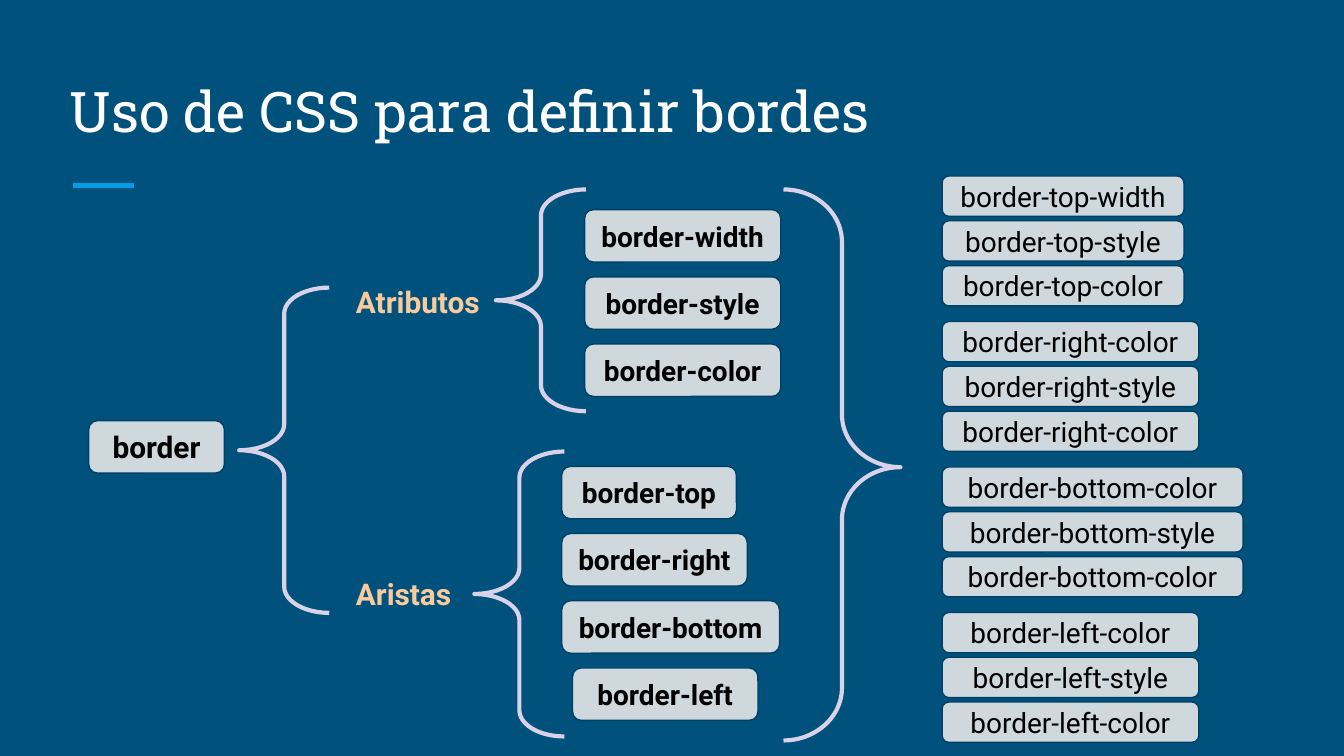
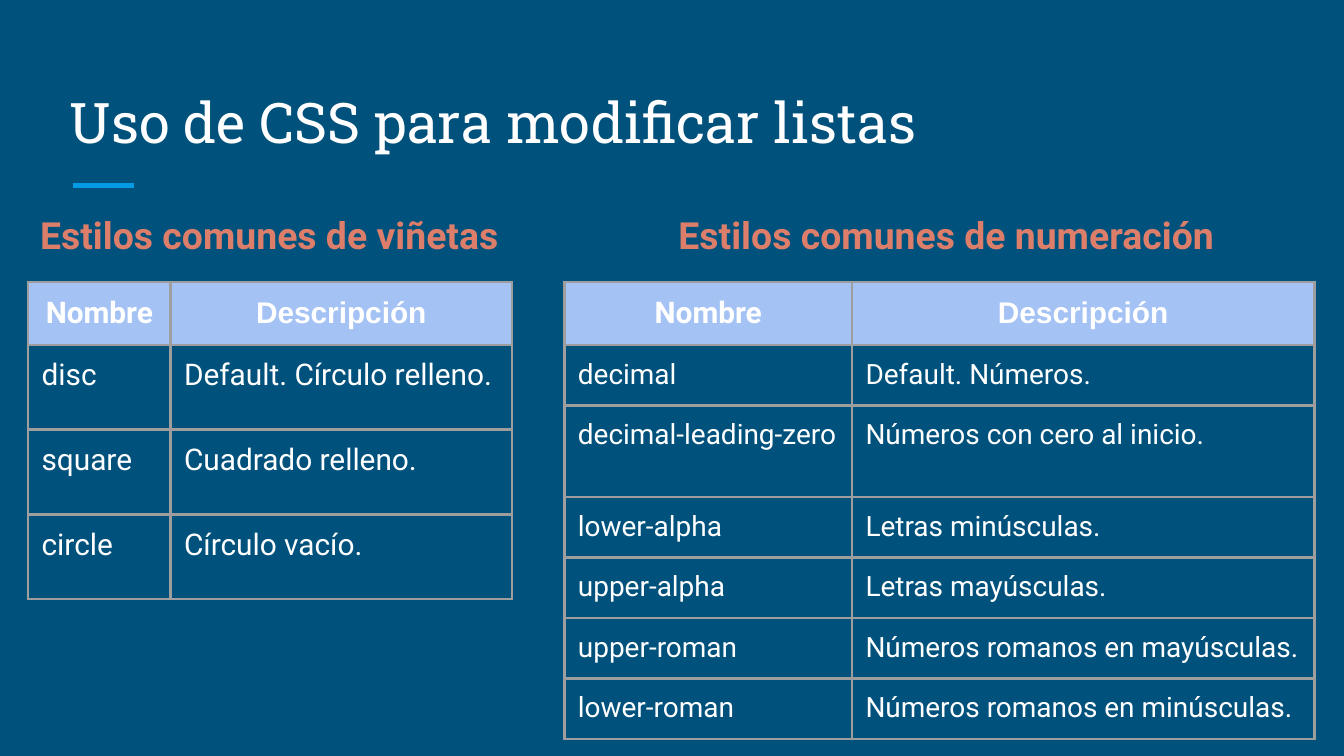
from dataclasses import dataclass

from lxml import etree
from pptx import Presentation
from pptx import util as u
from pptx.dml.color import RGBColor
from pptx.enum import shapes, text
from pptx.oxml import ns


@dataclass(frozen=True)
class Theme:
    background: str = "00517C"
    accent: str = "039BE5"
    light: str = "FFFFFF"
    dark: str = "000000"
    chip: str = "CFD8DC"
    chip_line: str = "004065"
    brace: str = "D9D2E9"
    branch: str = "F9CB9C"
    heading: str = "DD7E6B"
    header: str = "A4C2F4"
    grid: str = "9E9E9E"
    title_font: str = "Roboto Slab"
    body_font: str = "Roboto"
    header_font: str = "Arial"
    title_size: int = 30
    heading_size: int = 20
    large_size: int = 16
    body_size: int = 15


@dataclass(frozen=True)
class Box:
    left: float
    top: float
    width: float
    height: float

    def inches(self):
        return [u.Inches(side) for side in (self.left, self.top, self.width, self.height)]

    def inner(self, left, top, width, height):
        return Box(self.left + left, self.top + top, width, height)


THEME = Theme()
PAGE = Box(0, 0, 10, 10 * 9 / 16)
CENTER = text.PP_ALIGN.CENTER
MIDDLE = text.MSO_ANCHOR.MIDDLE


def rgb(color):
    return RGBColor.from_string(color)


def write(frame, words, size, color, font=THEME.body_font, bold=False,
          align=text.PP_ALIGN.LEFT):
    para = frame.paragraphs[0]
    para.alignment = align
    span = para.add_run()
    span.text = words
    span.font.name = font
    span.font.size = u.Pt(size)
    span.font.bold = bold
    span.font.color.rgb = rgb(color)


def set_insets(holder):
    holder.margin_left = holder.margin_right = u.Inches(0.1)
    holder.margin_top = holder.margin_bottom = u.Inches(0.1)


def add_label(page, box, words, size, color, font=THEME.body_font, bold=True,
              anchor=text.MSO_ANCHOR.TOP):
    frame = page.shapes.add_textbox(*box.inches()).text_frame
    frame.word_wrap = True
    frame.vertical_anchor = anchor
    set_insets(frame)
    write(frame, words, size, color, font, bold)


def add_chip(page, box, words, size=THEME.body_size, bold=True):
    chip = page.shapes.add_shape(shapes.MSO_SHAPE.ROUNDED_RECTANGLE, *box.inches())
    chip.shadow.inherit = False
    chip.fill.solid()
    chip.fill.fore_color.rgb = rgb(THEME.chip)
    chip.line.color.rgb = rgb(THEME.chip_line)
    chip.line.width = u.Pt(0.75)
    frame = chip.text_frame
    frame.word_wrap = False
    frame.vertical_anchor = MIDDLE
    set_insets(frame)
    write(frame, words, size, THEME.dark, bold=bold, align=CENTER)


def add_brace(page, box, kind=shapes.MSO_SHAPE.LEFT_BRACE, curve=0.29, tip=0.5):
    brace = page.shapes.add_shape(kind, *box.inches())
    brace.shadow.inherit = False
    brace.adjustments[0] = curve
    brace.adjustments[1] = tip
    brace.fill.background()
    brace.line.color.rgb = rgb(THEME.brace)
    brace.line.width = u.Pt(2.25)


def add_page(deck, title, title_top):
    page = deck.slides.add_slide(deck.slide_layouts[6])
    page.background.fill.solid()
    page.background.fill.fore_color.rgb = rgb(THEME.background)
    ends = [u.Inches(side) for side in (0.54, 1.38, 1, 1.38)]
    rule = page.shapes.add_connector(shapes.MSO_CONNECTOR.STRAIGHT, *ends)
    rule.line.color.rgb = rgb(THEME.accent)
    rule.line.width = u.Pt(3)
    etree.SubElement(rule._element.spPr, ns.qn("a:effectLst"))
    add_label(page, PAGE.inner(0.42, title_top, 9.15, 0.75), title, THEME.title_size,
              THEME.light, THEME.title_font, False, text.MSO_ANCHOR.BOTTOM)
    return page


def add_root(page, box):
    add_chip(page, box.inner(0, 0.99, 1.01, 0.39), "border", THEME.large_size)
    add_brace(page, box.inner(1.12, 0, 0.67, box.height))


def add_branch(page, box, label, label_box, chips, first_top):
    add_label(page, label_box, label, THEME.large_size, THEME.branch)
    add_brace(page, box.inner(0, 0, 0.67, box.height))
    for row, (words, left, width) in enumerate(chips):
        add_chip(page, box.inner(left, first_top + row * 0.5, width, 0.39), words)


def add_properties(page, box, groups):
    group_step = box.height / len(groups)
    for group, (side, width, endings) in enumerate(groups):
        for row, ending in enumerate(endings):
            place = box.inner(0, group * group_step + row / 3, width, 0.3)
            add_chip(page, place, f"border-{side}-{ending}", bold=False)


def draw_cell_borders(cell):
    properties = cell._tc.get_or_add_tcPr()
    for side in ("lnL", "lnR", "lnT", "lnB"):
        edge = etree.SubElement(properties, ns.qn(f"a:{side}"), w=str(u.Pt(1.5)))
        fill = etree.SubElement(edge, ns.qn("a:solidFill"))
        etree.SubElement(fill, ns.qn("a:srgbClr"), val=THEME.grid)


def add_style_table(page, box, heading, heading_box, columns, heights, rows, size):
    add_label(page, heading_box, heading, THEME.heading_size, THEME.heading)
    records = [("Nombre", "Descripción"), *rows]
    table = page.shapes.add_table(len(records), len(columns), *box.inches()).table
    table.first_row = table.horz_banding = False
    for column, width in zip(table.columns, columns):
        column.width = u.Inches(width)
    for row, (height, record) in enumerate(zip(heights, records)):
        table.rows[row].height = u.Inches(height)
        for column, words in enumerate(record):
            cell = table.cell(row, column)
            set_insets(cell)
            draw_cell_borders(cell)
            if row == 0:
                cell.vertical_anchor = MIDDLE
                cell.fill.solid()
                cell.fill.fore_color.rgb = rgb(THEME.header)
                font = (THEME.body_font, THEME.header_font)[column]
                write(cell.text_frame, words, THEME.large_size, THEME.light, font,
                      True, CENTER)
            else:
                cell.fill.background()
                write(cell.text_frame, words, size, THEME.light)


def build_borders(deck):
    page = add_page(deck, "Uso de CSS para definir bordes", 0.42)
    add_root(page, Box(0.66, 2.14, 1.79, 2.42))
    attributes = [(f"border-{name}", 0.66, 1.46) for name in ("width", "style", "color")]
    add_branch(page, Box(3.69, 1.41, 2.12, 1.65), "Atributos",
               Box(2.55, 2.01, 1.15, 0.39), attributes, 0.15)
    edges = [("border-top", 0.65, 1.3), ("border-right", 0.65, 1.38),
             ("border-bottom", 0.65, 1.62), ("border-left", 0.73, 1.38)]
    add_branch(page, Box(3.53, 3.36, 2.27, 2.12), "Aristas",
               Box(2.55, 4.18, 0.94, 0.39), edges, 0.11)
    add_brace(page, Box(5.83, 1.41, 0.87, 4.1), shapes.MSO_SHAPE.RIGHT_BRACE, 0.45, 0.504)
    endings = ("color", "style", "color")
    add_properties(page, Box(7.01, 1.31, 2.24, 4.33), [
        ("top", 1.8, ("width", "style", "color")),
        ("right", 1.91, endings),
        ("bottom", 2.24, endings),
        ("left", 1.91, endings),
    ])


def build_lists(deck):
    page = add_page(deck, "Uso de CSS para modificar listas", 0.5)
    add_style_table(
        page, Box(0.21, 2.1, 3.6, 2.32), "Estilos comunes de viñetas",
        Box(0.2, 1.48, 3.68, 0.47), (1.06, 2.54), [0.43] + [0.63] * 3,
        [("disc", "Default. Círculo relleno."),
         ("square", "Cuadrado relleno."),
         ("circle", "Círculo vacío.")],
        THEME.large_size)
    add_style_table(
        page, Box(4.2, 2.1, 5.58, 3.14), "Estilos comunes de numeración",
        Box(4.95, 1.48, 4.3, 0.47), (2.14, 3.44),
        [0.36, 0.44, 0.68, 0.44, 0.44, 0.44, 0.34],
        [("decimal", "Default. Números."),
         ("decimal-leading-zero", "Números con cero al inicio."),
         ("lower-alpha", "Letras minúsculas."),
         ("upper-alpha", "Letras mayúsculas."),
         ("upper-roman", "Números romanos en mayúsculas."),
         ("lower-roman", "Números romanos en minúsculas.")],
        THEME.body_size)


def main():
    deck = Presentation()
    deck.slide_width = u.Inches(PAGE.width)
    deck.slide_height = u.Inches(PAGE.height)
    build_borders(deck)
    build_lists(deck)
    deck.save("out.pptx")


if __name__ == "__main__":
    main()
